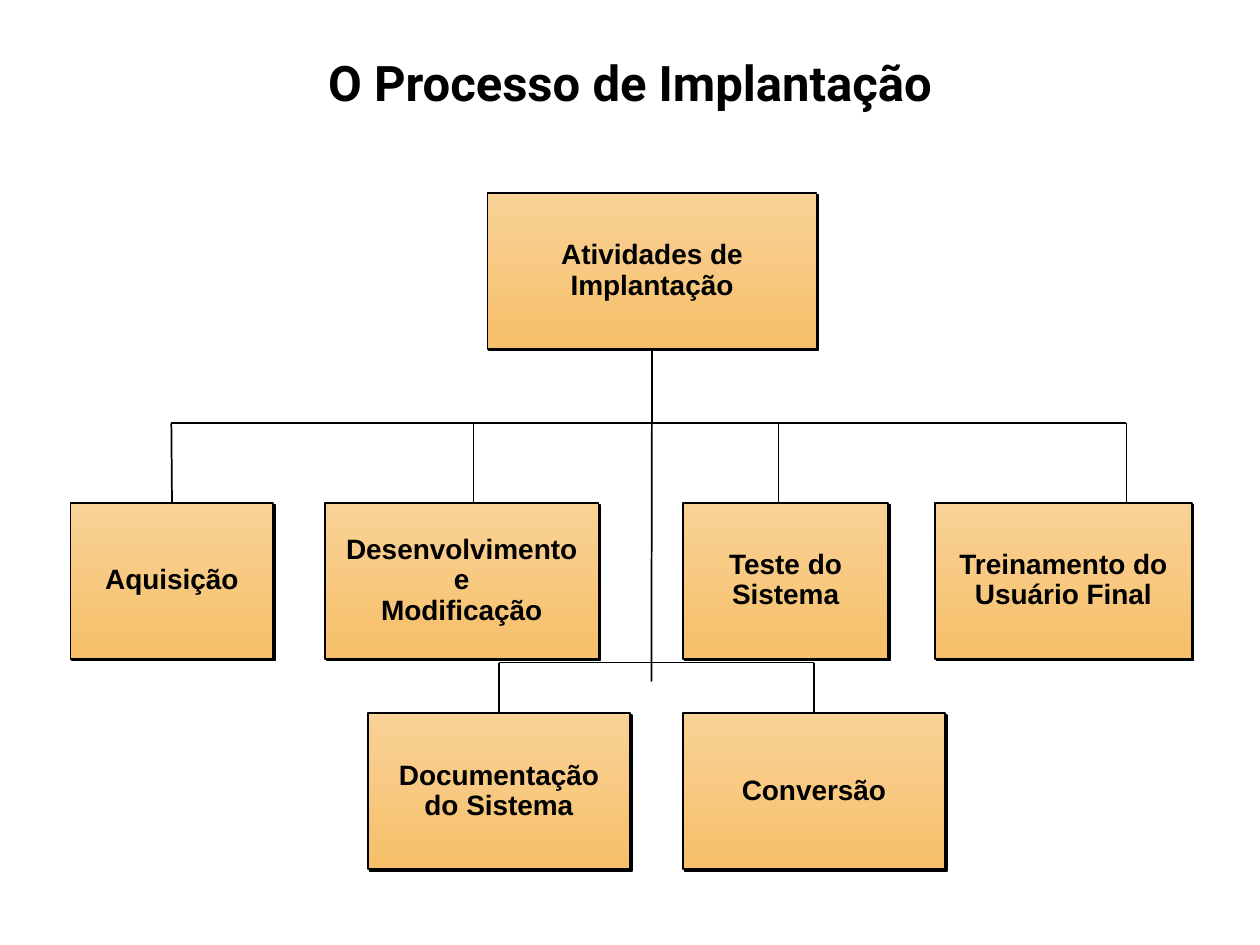
"""Builds the organisation chart slide of the deployment process."""
from lxml.etree import SubElement
from pptx import Presentation
from pptx.dml.color import RGBColor
from pptx.enum.shapes import MSO_CONNECTOR, MSO_SHAPE
from pptx.enum.text import MSO_ANCHOR, PP_ALIGN
from pptx.oxml.ns import qn
from pptx.util import Inches, Pt

COLORS = {"ink": "000000", "top": "F9D296", "bottom": "F6BF69"}
BOX_HEIGHT = 1.24
ROOT_TOP, MAIN_TOP, LOWER_TOP = 1.53, 3.99, 5.66
MAIN_BAR, LOWER_BAR, TRUNK_END = 3.36, 5.26, 5.41
TRUNK_X = 5.17
TOP_SIDE, BOTTOM_SIDE = 0, 2


def color(name):
    """Return the named palette colour."""
    return RGBColor.from_string(COLORS[name])


def write(frame, text, size=16, font="Arial", spacing=0.9, anchor=MSO_ANCHOR.MIDDLE, wrap=False):
    """Fill a text frame with centred bold lines, one paragraph each."""
    frame.text = text
    frame.word_wrap = wrap
    frame.vertical_anchor = anchor
    for line in frame.paragraphs:
        line.alignment = PP_ALIGN.CENTER
        line.line_spacing = spacing
        for run in line.runs:
            run.font.size = Pt(size)
            run.font.name = font
            run.font.bold = True
            run.font.color.rgb = color("ink")


def add_title(slide, text):
    """Place and format the slide title."""
    title = slide.shapes.title
    title.left, title.top = Inches(1.25), Inches(0.37)
    title.width, title.height = Inches(7.5), Inches(0.57)
    write(title.text_frame, text, size=28, font="Roboto", spacing=1.0, anchor=MSO_ANCHOR.TOP, wrap=True)


def add_hard_shadow(box):
    """Give a box a solid shadow towards the lower right."""
    box.shadow.inherit = False
    effects = box._element.spPr.find(qn("a:effectLst"))
    shadow = SubElement(effects, qn("a:outerShdw"), blurRad="0", dist=str(Pt(1.4)),
                        dir="2700000", algn="ctr", rotWithShape="0")
    SubElement(shadow, qn("a:srgbClr"), val=COLORS["ink"])


def add_box(slide, text, left, top, width):
    """Add one activity box."""
    box = slide.shapes.add_shape(MSO_SHAPE.RECTANGLE, Inches(left), Inches(top),
                                 Inches(width), Inches(BOX_HEIGHT))
    box.fill.gradient()
    box.fill.gradient_angle = 270
    for stop, name in zip(box.fill.gradient_stops, ("top", "bottom")):
        stop.color.rgb = color(name)
    box.line.color.rgb = color("ink")
    box.line.width = Pt(1)
    add_hard_shadow(box)
    write(box.text_frame, text)
    return box


def add_line(slide, start, end, width=1, begin_box=None, end_box=None):
    """Add a straight line, joined to the bottom or top of a box if given."""
    points = [Inches(value) for value in (*start, *end)]
    line = slide.shapes.add_connector(MSO_CONNECTOR.STRAIGHT, *points)
    line.line.color.rgb = color("ink")
    line.line.width = Pt(width)
    SubElement(line._element.spPr, qn("a:effectLst"))
    if begin_box is not None:
        line.begin_connect(begin_box, BOTTOM_SIDE)
    if end_box is not None:
        line.end_connect(end_box, TOP_SIDE)


def add_branch(slide, bar_y, box_top, drops, bar_width):
    """Add a crossbar with a drop to each box of a row."""
    add_line(slide, (drops[0][0], bar_y), (drops[-1][0], bar_y), bar_width)
    for x, width, box in drops:
        add_line(slide, (x, bar_y), (x, box_top), width, end_box=box)


def main():
    """Build and save the slide."""
    deck = Presentation()
    deck.slide_width, deck.slide_height = Inches(10), Inches(7.5)
    slide = deck.slides.add_slide(deck.slide_layouts[5])
    add_title(slide, "O Processo de Implantação")

    root = add_box(slide, "Atividades de\nImplantação", 3.87, ROOT_TOP, 2.61)
    acquisition = add_box(slide, "Aquisição", 0.56, MAIN_TOP, 1.61)
    for text, left, width in (
        ("Desenvolvimento\ne\nModificação", 2.58, 2.17),
        ("Teste do\nSistema", 5.42, 1.63),
        ("Treinamento do\nUsuário Final", 7.42, 2.04),
    ):
        add_box(slide, text, left, MAIN_TOP, width)
    documentation = add_box(slide, "Documentação\ndo Sistema", 2.92, LOWER_TOP, 2.08)
    conversion = add_box(slide, "Conversão", 5.42, LOWER_TOP, 2.08)

    add_line(slide, (TRUNK_X, ROOT_TOP + BOX_HEIGHT), (TRUNK_X, TRUNK_END), begin_box=root)
    add_branch(slide, MAIN_BAR, MAIN_TOP, [
        (1.36, 1, acquisition), (3.76, 0.75, None), (6.18, 0.75, None), (8.94, 1, None),
    ], bar_width=1)
    add_branch(slide, LOWER_BAR, LOWER_TOP, [
        (3.96, 0.75, documentation), (6.46, 0.75, conversion),
    ], bar_width=0.75)
    deck.save("out.pptx")


if __name__ == "__main__":
    main()
